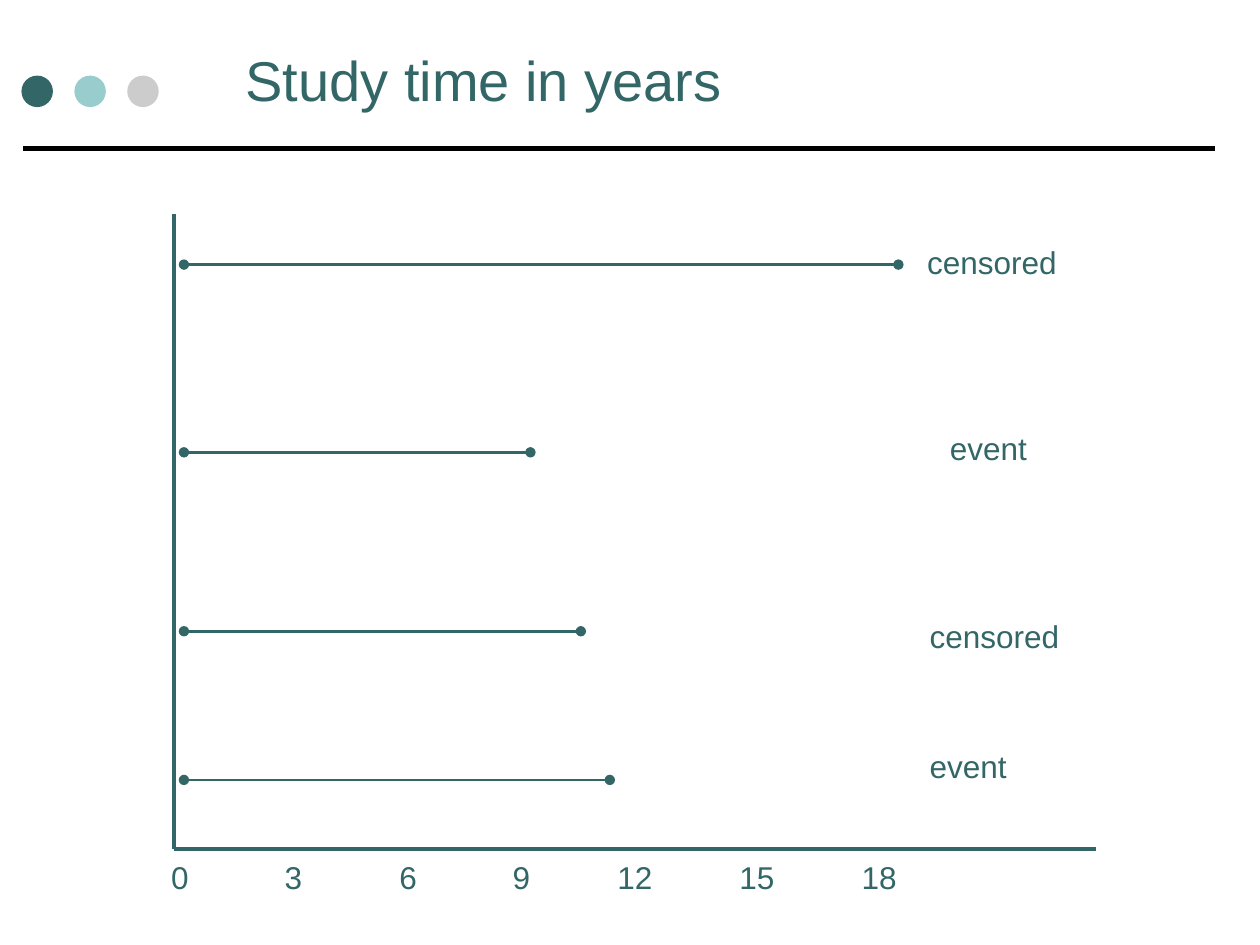
from dataclasses import dataclass

from lxml import etree
from pptx import Presentation
from pptx import util as u
from pptx.dml.color import RGBColor
from pptx.enum import shapes, text
from pptx.oxml import ns


@dataclass(frozen=True)
class Theme:
    font: str = "Arial"
    dark: str = "336666"
    light: str = "99CCCC"
    grey: str = "CCCCCC"
    rule: str = "000000"
    title_size: float = 32
    label_size: float = 18
    rule_width: float = 3
    axis_width: float = 2.25
    span_width: float = 1.5


THEME = Theme()
ORIGIN = (1.38, 6.74)
SPAN_START = 1.46
SUBJECTS = [
    (2.1, 7.13, "censored", (7.26, 1.88, 1.23)),
    (3.59, 4.21, "event", (7.44, 3.36, 0.81)),
    (5.01, 4.61, "censored", (7.28, 4.85, 1.23)),
    (6.19, 4.84, "event", (7.28, 5.88, 0.82)),
]
YEARS = {0: 0.13, 3: 1.03, 6: 1.94, 9: 2.84, 12: 3.74, 15: 4.71, 18: 5.68}


def add_text(slide, words, box, size=THEME.label_size, color=THEME.dark,
             anchor=text.MSO_ANCHOR.TOP, wrap=True):
    label = slide.shapes.add_textbox(*map(u.Inches, box))
    frame = label.text_frame
    frame.word_wrap = wrap
    frame.vertical_anchor = anchor
    paragraph = frame.paragraphs[0]
    run = paragraph.add_run()
    run.text = words
    run.font.name = THEME.font
    run.font.size = u.Pt(size)
    run.font.color.rgb = RGBColor.from_string(color)
    return paragraph


def add_line(slide, start, end, width, color=THEME.dark, dotted_ends=False):
    line = slide.shapes.add_connector(
        shapes.MSO_CONNECTOR.STRAIGHT, *map(u.Inches, (*start, *end)))
    line.line.color.rgb = RGBColor.from_string(color)
    line.line.width = u.Pt(width)
    if dotted_ends:
        outline = line.line._get_or_add_ln()
        for tag in ("a:headEnd", "a:tailEnd"):
            etree.SubElement(outline, ns.qn(tag), type="oval")
    etree.SubElement(line._element.spPr, ns.qn("a:effectLst"))


def add_dot(slide, left, color):
    dot = slide.shapes.add_shape(
        shapes.MSO_SHAPE.OVAL, *map(u.Inches, (left, 0.6, 0.25, 0.25)))
    dot.shadow.inherit = False
    dot.fill.solid()
    dot.fill.fore_color.rgb = RGBColor.from_string(color)
    dot.line.fill.background()


def add_header(slide):
    add_line(slide, (9.64, 1.18), (0.18, 1.18), THEME.rule_width, THEME.rule)
    for index, color in enumerate((THEME.dark, THEME.light, THEME.grey)):
        add_dot(slide, 0.17 + 0.42 * index, color)
    add_text(slide, "Study time in years", (1.85, 0, 6.91, 1.25),
             size=THEME.title_size, anchor=text.MSO_ANCHOR.MIDDLE)


def add_axes(slide):
    add_line(slide, (ORIGIN[0], 1.7), ORIGIN, THEME.axis_width)
    add_line(slide, ORIGIN, (8.7, ORIGIN[1]), THEME.axis_width)
    ticks = add_text(slide, "".join(f"\t{year}" for year in YEARS),
                     (1.2, 6.76, 8.37, 0.4))
    tab_list = etree.SubElement(
        ticks._p.get_or_add_pPr(), ns.qn("a:tabLst"))
    for position in YEARS.values():
        etree.SubElement(tab_list, ns.qn("a:tab"),
                         pos=str(u.Inches(position)), algn="ctr")


def add_subject(slide, height, span_end, outcome, place):
    add_line(slide, (SPAN_START, height), (span_end, height),
             THEME.span_width, dotted_ends=True)
    add_text(slide, outcome, (*place, 0.4), wrap=False)


def main():
    deck = Presentation()
    deck.slide_width, deck.slide_height = u.Inches(10), u.Inches(7.5)
    slide = deck.slides.add_slide(deck.slide_layouts[6])
    add_header(slide)
    add_axes(slide)
    for subject in SUBJECTS:
        add_subject(slide, *subject)
    deck.save("out.pptx")


if __name__ == "__main__":
    main()
